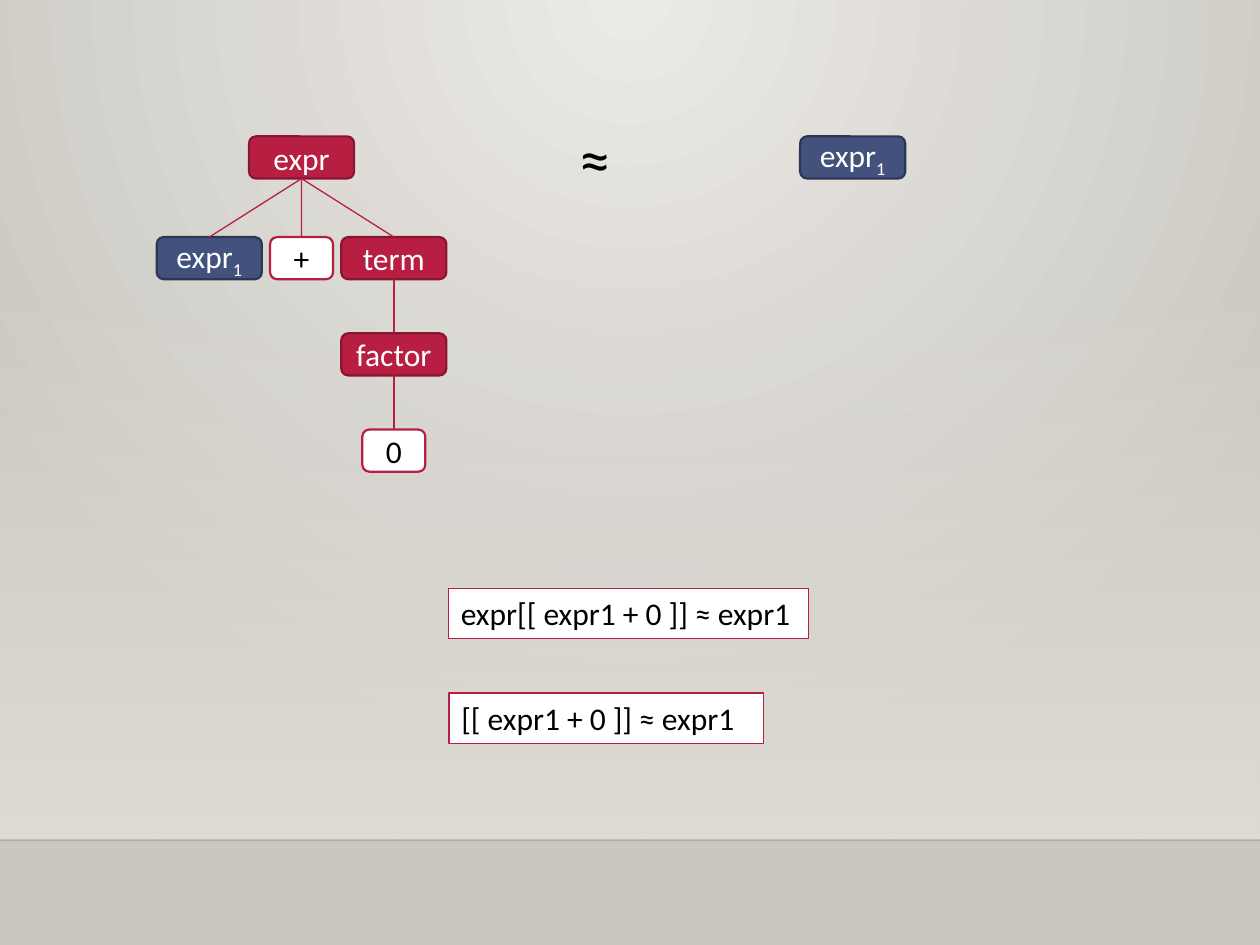
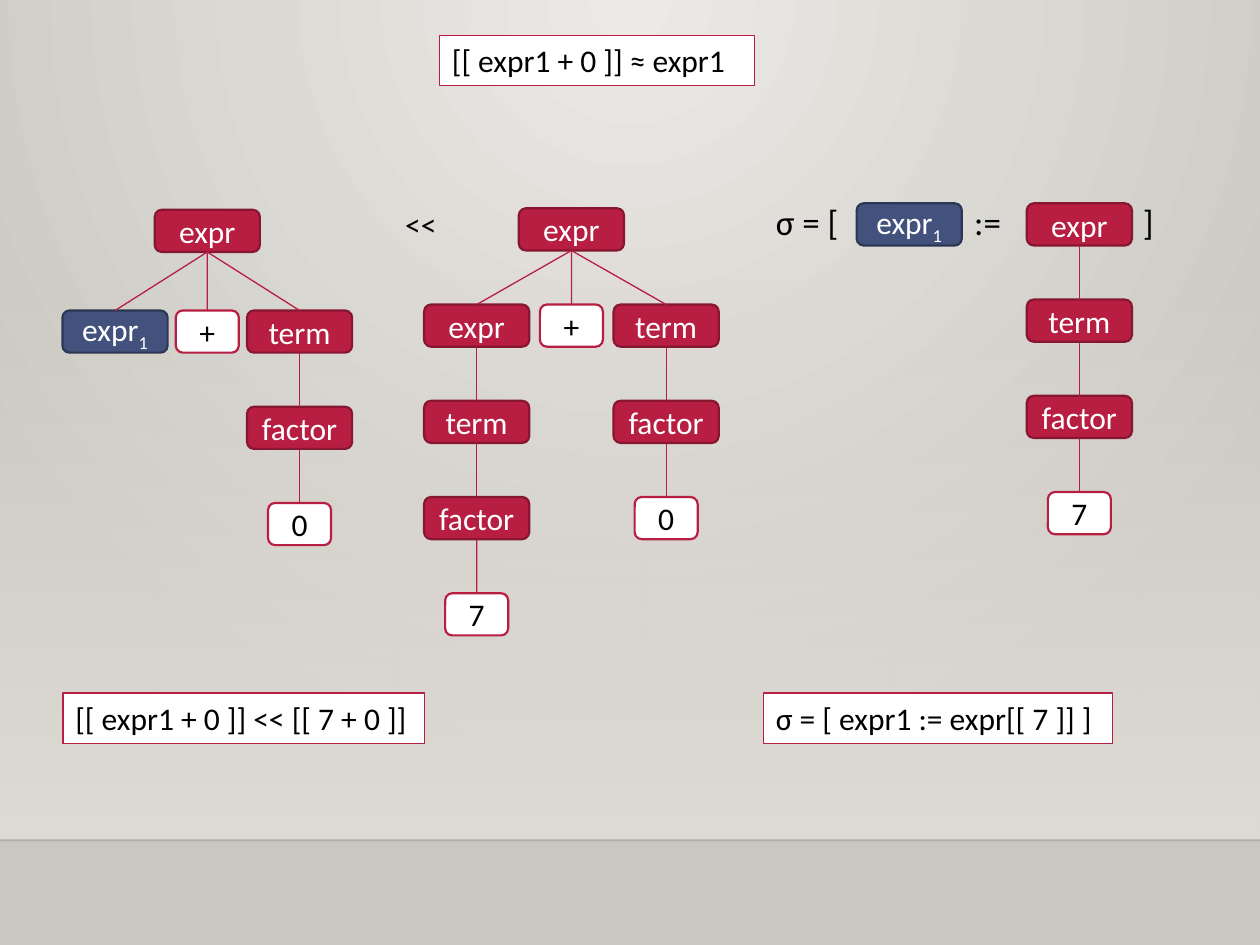
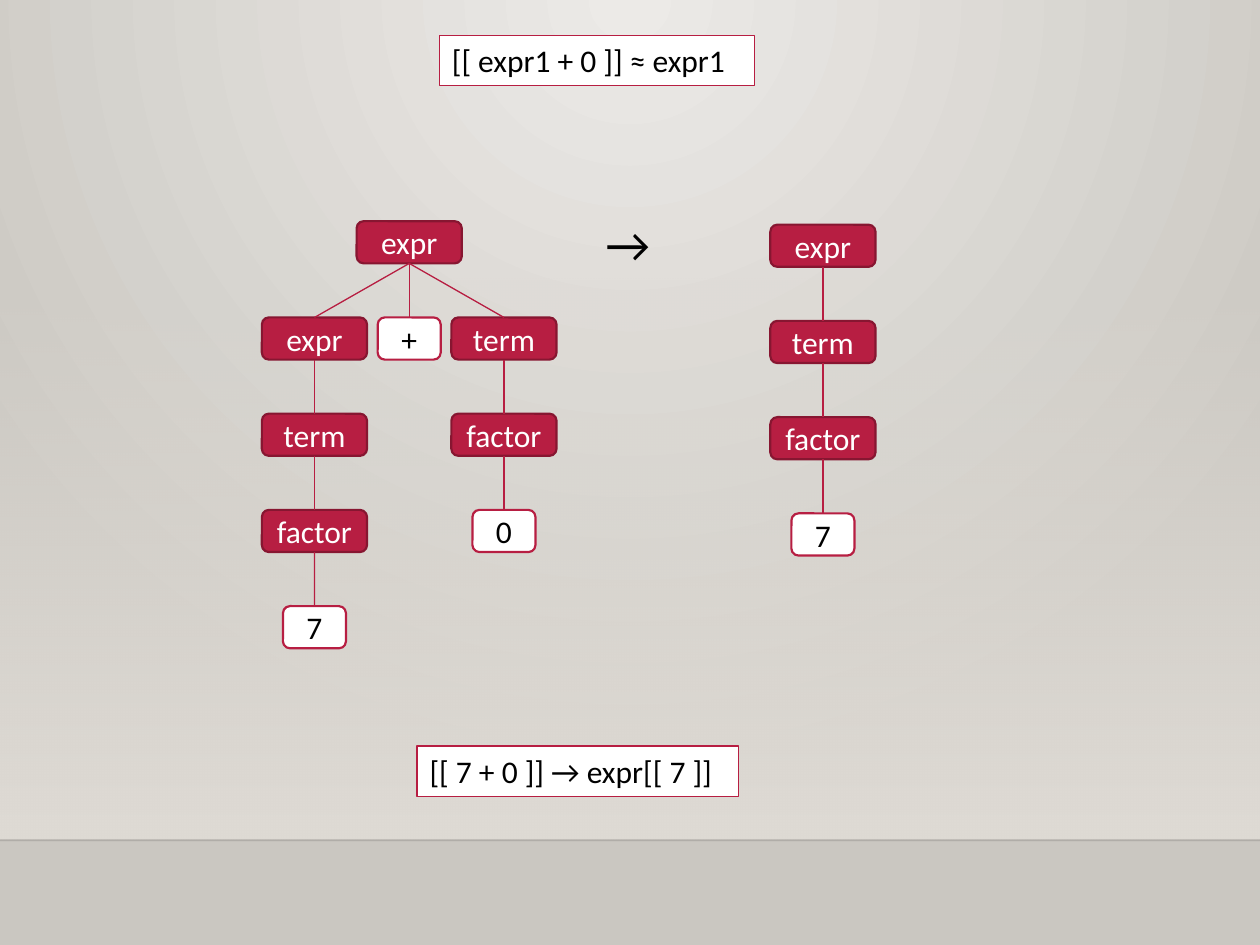
from lxml.etree import SubElement
from pptx import Presentation
from pptx.dml.color import RGBColor
from pptx.enum.shapes import MSO_CONNECTOR, MSO_SHAPE
from pptx.enum.text import MSO_ANCHOR, MSO_AUTO_SIZE, PP_ALIGN
from pptx.oxml.ns import qn
from pptx.util import Cm, Pt

# Colours
RED = RGBColor(0xB7, 0x1E, 0x42)
MAROON = RGBColor(0x87, 0x16, 0x31)
BLUE = RGBColor(0x42, 0x52, 0x7C)
NAVY = RGBColor(0x2C, 0x37, 0x53)
WHITE = RGBColor(0xFF, 0xFF, 0xFF)
BLACK = RGBColor(0x00, 0x00, 0x00)
PEARL = RGBColor(0xEC, 0xEA, 0xE7)
STONE = RGBColor(0xCA, 0xC7, 0xC1)
SAND = RGBColor(0xDF, 0xDB, 0xD5)

# Sizes in cm
WIDE, TALL = 25.4, 19.05
FLOOR, PANEL = 16.94, 5.6
NODE, LEAF, HIGH = 2.12, 1.27, 0.85
STEP, SPREAD = 1.94, 1.91
LABEL = 1.02

# Node styles: width, fill, line, text colour
RULE = (NODE, RED, MAROON, WHITE)
META = (NODE, BLUE, NAVY, WHITE)
TOKEN = (LEAF, WHITE, RED, BLACK)
STYLES = {"expr1": META, "+": TOKEN, "0": TOKEN, "7": TOKEN}

LINE_TEXT = {"word_wrap": False, "auto_size": MSO_AUTO_SIZE.SHAPE_TO_FIT_TEXT}
NODE_TEXT = {"word_wrap": False, "vertical_anchor": MSO_ANCHOR.MIDDLE}


def apply(target, values):
    for key, value in values.items():
        setattr(target, key, value)


def paint(shape, fill, edge, width):
    shape.shadow.inherit = False
    shape.fill.solid()
    shape.fill.fore_color.rgb = fill
    shape.line.color.rgb = edge
    shape.line.width = Pt(width)


def write(shape, parts, color, size=18, align=PP_ALIGN.LEFT, frame=LINE_TEXT):
    apply(shape.text_frame, frame)
    para = shape.text_frame.paragraphs[0]
    para.alignment = align
    for part in parts:
        run = para.add_run()
        run.text = part
        apply(run.font, {"name": "Calibri", "size": Pt(size)})
        run.font.color.rgb = color


def link(shapes, x1, y1, x2, y2, color, width):
    line = shapes.add_connector(MSO_CONNECTOR.STRAIGHT, Cm(x1), Cm(y1), Cm(x2), Cm(y2))
    line.line.color.rgb = color
    line.line.width = Pt(width)
    SubElement(line.element.spPr, qn("a:effectLst"))
    return line


def fade(color, percent):
    SubElement(color, qn("a:alpha"), val=str(percent * 1000))


def blend(fill, first, last):
    fill.gradient()
    for stop, color, place in zip(fill.gradient_stops, (first, last), (0, 1)):
        stop.color.rgb = color
        stop.position = place


# Shared backdrop: round glow, soft panel and floor line
def backdrop(master, slide):
    blend(master.background.fill, PEARL, STONE)
    glow = master.element.xpath(".//p:bgPr/a:gradFill")[0]
    for angle in glow.findall(qn("a:lin")):
        glow.remove(angle)
    circle = SubElement(glow, qn("a:path"), path="circle")
    SubElement(circle, qn("a:fillToRect"), l="43000", t="0", r="43000", b="100000")

    panel = slide.shapes.add_shape(
        MSO_SHAPE.RECTANGLE, 0, Cm(PANEL), Cm(WIDE), Cm(FLOOR - PANEL))
    panel.shadow.inherit = False
    panel.line.fill.background()
    blend(panel.fill, SAND, SAND)
    panel.fill.gradient_angle = 270
    fade(panel.element.xpath(".//a:gs/a:srgbClr")[0], 0)

    floor = link(slide.shapes, 0, FLOOR, WIDE, FLOOR, BLACK, 1)
    fade(floor.element.xpath(".//a:ln//a:srgbClr")[0], 20)
    for place, part in enumerate((panel, floor)):
        part.element.xpath(".//p:cNvPr")[0].set("id", str(100 + place))
        master.shapes.element.insert(2 + place, part.element)


# One rounded node, centred on mid
def node(shapes, name, mid, top):
    width, fill, edge, color = STYLES.get(name, RULE)
    box = shapes.add_shape(MSO_SHAPE.ROUNDED_RECTANGLE,
                           Cm(mid - width / 2), Cm(top), Cm(width), Cm(HIGH))
    paint(box, fill, edge, 1.25)
    parts = ("expr", "1") if name == "expr1" else (name,)
    write(box, parts, color, align=PP_ALIGN.CENTER, frame=NODE_TEXT)
    if len(parts) > 1:
        box.element.xpath(".//a:rPr")[-1].set("baseline", "-25000")
    return box


def branch(shapes, plan, mid, top, spread, drop):
    name, *kids = plan
    root = node(shapes, name, mid, top)
    for place, kid in enumerate(kids):
        across = mid + (place - (len(kids) - 1) / 2) * spread
        child = branch(shapes, kid, across, top + drop, spread, STEP)
        line = link(shapes, mid, top + HIGH, across, top + drop, RED, 0.75)
        line.begin_connect(root, 2)
        line.end_connect(child, 0)
    return root


# Syntax tree whose root is centred on mid
def tree(slide, plan, mid, top, spread=SPREAD, drop=STEP):
    branch(slide.shapes.add_group_shape().shapes, plan, mid, top, spread, drop)


def chain(name, *rest):
    return (name, chain(*rest)) if rest else (name,)


def label(slide, text, left, top, width):
    box = slide.shapes.add_shape(
        MSO_SHAPE.RECTANGLE, Cm(left), Cm(top), Cm(width), Cm(LABEL))
    paint(box, WHITE, RED, 0.75)
    write(box, [text], BLACK)
    box.text_frame.vertical_anchor = MSO_ANCHOR.TOP


def sign(slide, text, left, top, width, height, size, tabs=()):
    box = slide.shapes.add_textbox(Cm(left), Cm(top), Cm(width), Cm(height))
    if tabs:
        props = box.text_frame.paragraphs[0]
        props.alignment = PP_ALIGN.LEFT
        stops = SubElement(box.element.xpath(".//a:pPr")[0], qn("a:tabLst"))
        for tab in tabs:
            SubElement(stops, qn("a:tab"), pos=str(Cm(tab)), algn="l")
    write(box, [text], BLACK, size)
    box.text_frame.word_wrap = bool(tabs)


# Trees used on the slides
ZERO = chain("term", "factor", "0")
SEVEN = chain("expr", "term", "factor", "7")
MATCH = ("expr", ("expr1",), ("+",), ZERO)
SUM = ("expr", SEVEN, ("+",), ZERO)
MATCH_GAPS = {"spread": 1.86, "drop": 2.03}
LAW = "[[ expr1 + 0 ]] ≈ expr1"


def law_slide(slide):
    tree(slide, MATCH, 6.08, 2.75, **MATCH_GAPS)
    sign(slide, "≈", 11.43, 2.29, 1.22, 1.8, 36)
    node(slide.shapes, "expr1", 17.19, 2.75)
    label(slide, "expr[[ expr1 + 0 ]] ≈ expr1", 9.04, 11.86, 7.26)
    label(slide, LAW, 9.05, 13.97, 6.35)


def match_slide(slide):
    label(slide, LAW, 8.86, 0.71, 6.35)
    tree(slide, MATCH, 4.18, 4.23, **MATCH_GAPS)
    sign(slide, "<<", 7.92, 4.01, 1.14, 1.02, 18)
    tree(slide, SUM, 11.52, 4.2)
    sign(slide, "σ = [\t:=\t]", 15.39, 3.91, 8.26, 1.12, 20, tabs=(4, 7.4))
    node(slide.shapes, "expr1", 18.33, 4.1)
    tree(slide, SEVEN, 21.76, 4.1)
    label(slide, "[[ expr1 + 0 ]] << [[ 7 + 0 ]]", 1.27, 13.97, 7.29)
    label(slide, "σ = [ expr1 := expr[[ 7 ]] ]", 15.39, 13.97, 7.04)


def rewrite_slide(slide):
    label(slide, LAW, 8.86, 0.71, 6.35)
    tree(slide, SUM, 8.25, 4.46)
    sign(slide, "→", 11.96, 4.17, 1.5, 1.45, 28)
    tree(slide, SEVEN, 16.59, 4.53)
    label(slide, "[[ 7 + 0 ]] → expr[[ 7 ]]", 8.41, 15.04, 6.48)


def main():
    deck = Presentation()
    apply(deck, {"slide_width": Cm(WIDE), "slide_height": Cm(TALL)})
    blank = deck.slide_layouts[6]
    for place, build in enumerate((law_slide, match_slide, rewrite_slide)):
        slide = deck.slides.add_slide(blank)
        if place == 0:
            backdrop(deck.slide_master, slide)
        build(slide)
    deck.save("out.pptx")


if __name__ == "__main__":
    main()
